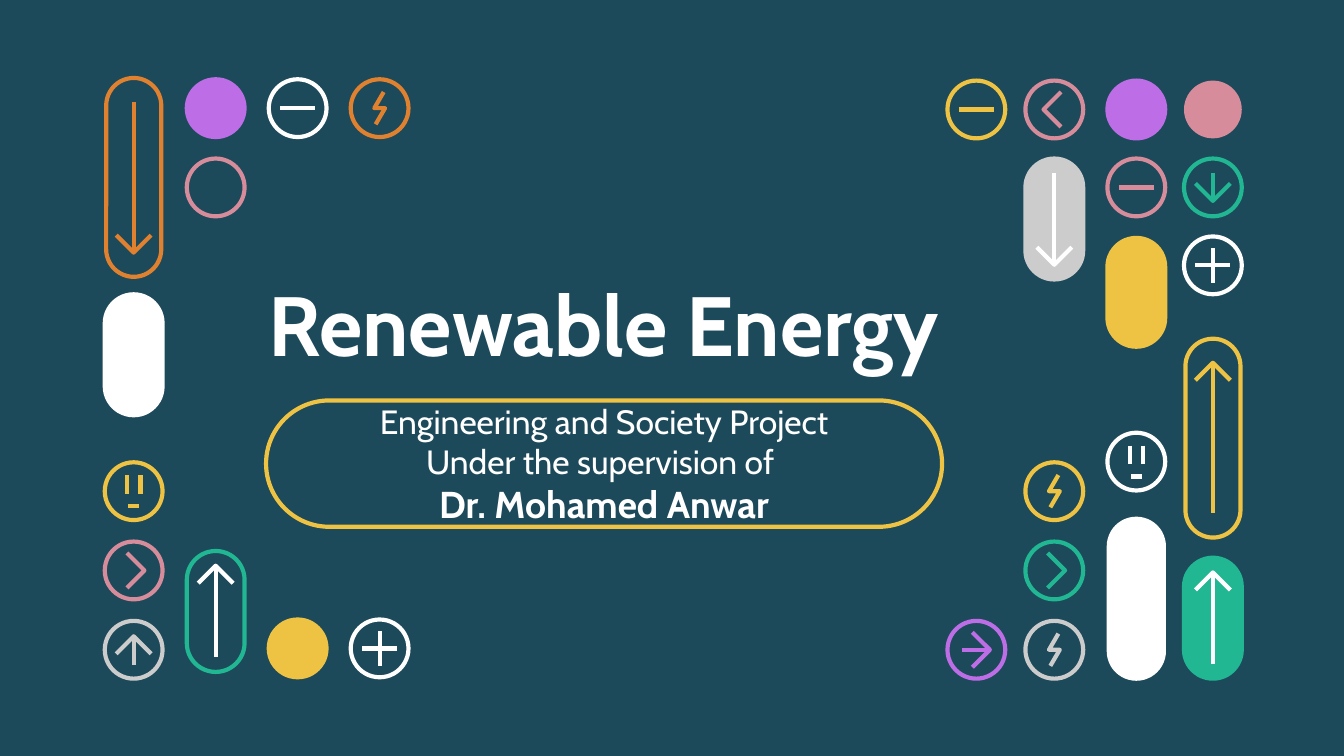
from lxml.etree import SubElement
from pptx import Presentation
from pptx.dml.color import RGBColor
from pptx.enum.shapes import MSO_CONNECTOR, MSO_SHAPE
from pptx.enum.text import MSO_ANCHOR, MSO_AUTO_SIZE, PP_ALIGN
from pptx.oxml.ns import qn
from pptx.util import Inches, Pt

NAVY, WHITE, GRAY = "1D4A5A", "FFFFFF", "CCCCCC"
ORANGE, YELLOW, GREEN = "E08130", "EEC242", "21B793"
PURPLE, PINK = "BD6DE6", "D78C9B"
FONT = "Cabin"
BADGE = 0.43
STROKE = 2.25

MINUS = [(-0.13, 0), (0.13, 0)]
GLYPHS = {
    "blank": [],
    "minus": [MINUS],
    "plus": [MINUS, [(0, -0.13), (0, 0.13)]],
    "bolt": [[(0.03, -0.12), (-0.04, 0), (0.04, 0), (-0.03, 0.12)]],
    "face": [
        [(-0.05, -0.12), (-0.05, 0.02)],
        [(0.05, -0.12), (0.05, 0.02)],
        [(-0.04, 0.11), (0.04, 0.11)],
    ],
    "next": [[(-0.05, -0.13), (0.08, 0), (-0.05, 0.13)]],
    "back": [[(0.05, -0.13), (-0.08, 0), (0.05, 0.13)]],
    "right": [[(-0.03, -0.13), (0.1, 0), (-0.03, 0.13)], [(0.1, 0), (-0.11, 0)]],
    "up": [[(-0.13, 0.03), (0, -0.1), (0.13, 0.03)], [(0, -0.1), (0, 0.11)]],
    "down": [[(-0.13, -0.03), (0, 0.1), (0.13, -0.03)], [(0, 0.1), (0, -0.11)]],
}


def color(hex_code):
    return RGBColor.from_string(hex_code)


def add_text(frame, text, size=18, bold=False, ink=WHITE, spacing=1.0, first=False):
    paragraph = frame.paragraphs[0] if first else frame.add_paragraph()
    paragraph.alignment = PP_ALIGN.CENTER
    paragraph.line_spacing = spacing
    run = paragraph.add_run()
    run.text = text
    run.font.name = FONT
    run.font.size = Pt(size)
    run.font.bold = bold
    run.font.color.rgb = color(ink)


def set_frame(frame, margin):
    frame.word_wrap = True
    frame.auto_size = MSO_AUTO_SIZE.NONE
    frame.vertical_anchor = MSO_ANCHOR.MIDDLE
    frame.margin_left = frame.margin_right = Inches(margin)
    frame.margin_top = frame.margin_bottom = Inches(margin)


def set_stroke(line, ink):
    line.color.rgb = color(ink)
    line.width = Pt(STROKE)


def add_outline(slide, kind, left, top, width, height, ink, filled=False):
    outline = slide.shapes.add_shape(
        kind, Inches(left), Inches(top), Inches(width), Inches(height))
    outline.shadow.inherit = False
    if filled:
        outline.fill.solid()
        outline.fill.fore_color.rgb = color(ink)
    else:
        outline.fill.background()
    set_stroke(outline.line, ink)
    if kind == MSO_SHAPE.ROUNDED_RECTANGLE:
        outline.adjustments[0] = 0.5
    return outline


def add_stroke(slide, center_x, center_y, offsets, ink):
    points = [(Inches(center_x + x), Inches(center_y + y)) for x, y in offsets]
    if len(points) == 2:
        stroke = slide.shapes.add_connector(
            MSO_CONNECTOR.STRAIGHT, *points[0], *points[1])
        SubElement(stroke.element.spPr, qn("a:effectLst"))
    else:
        builder = slide.shapes.build_freeform(*points[0])
        builder.add_line_segments(points[1:], close=False)
        stroke = builder.convert_to_shape()
        stroke.shadow.inherit = False
        stroke.fill.background()
    set_stroke(stroke.line, ink)


def add_badge(slide, left, top, glyph, ink, filled=False):
    add_outline(slide, MSO_SHAPE.OVAL, left, top, BADGE, BADGE, ink, filled)
    for offsets in GLYPHS[glyph]:
        add_stroke(slide, left + BADGE / 2, top + BADGE / 2, offsets, ink)


def add_pill(slide, left, top, width, height, ink, filled=False,
             direction=0, arrow_ink=WHITE, inset=0.11):
    left += (BADGE - width) / 2
    add_outline(slide, MSO_SHAPE.ROUNDED_RECTANGLE, left, top, width, height, ink, filled)
    if direction:
        tip = direction * (height / 2 - inset)
        wing = tip - direction * 0.13
        for offsets in ([(-0.13, wing), (0, tip), (0.13, wing)], [(0, tip), (0, -tip)]):
            add_stroke(slide, left + width / 2, top + height / 2, offsets, arrow_ink)


def add_left_icons(slide, left, top):
    columns = [left + 0.61 * index for index in range(4)]
    for column, offset, glyph, ink, filled in [
        (1, 0, "blank", PURPLE, True),
        (2, 0, "minus", WHITE, False),
        (3, 0, "bolt", ORANGE, False),
        (1, 0.59, "blank", PINK, False),
        (0, 2.85, "face", YELLOW, False),
        (0, 3.44, "next", PINK, False),
        (0, 4.03, "up", GRAY, False),
        (2, 4.02, "blank", YELLOW, True),
        (3, 4.02, "plus", WHITE, False),
    ]:
        add_badge(slide, columns[column], top + offset, glyph, ink, filled)
    add_pill(slide, columns[0], top - 0.01, 0.41, 1.48, ORANGE,
             direction=1, arrow_ink=ORANGE, inset=0.18)
    add_pill(slide, columns[0], top + 1.6, BADGE, 0.9, WHITE, filled=True)
    add_pill(slide, columns[1], top + 3.51, BADGE, 0.9, GREEN, direction=-1)


def add_right_icons(slide, left, top):
    columns = [left + offset for offset in (0, 0.58, 1.19, 1.76)]
    for column, offset, glyph, ink, filled in [
        (0, 0, "minus", YELLOW, False),
        (1, 0, "back", PINK, False),
        (2, 0, "blank", PURPLE, True),
        (2, 0.58, "minus", PINK, False),
        (3, 0.58, "down", GREEN, False),
        (3, 1.16, "plus", WHITE, False),
        (2, 2.62, "face", WHITE, False),
        (1, 2.84, "bolt", YELLOW, False),
        (1, 3.43, "next", GREEN, False),
        (0, 4.02, "right", PURPLE, False),
        (1, 4.02, "bolt", GRAY, False),
    ]:
        add_badge(slide, columns[column], top + offset, glyph, ink, filled)
    dot = add_outline(slide, MSO_SHAPE.OVAL, columns[3], top, BADGE, BADGE, PINK, True)
    dot.line.fill.background()
    add_pill(slide, columns[1], top + 0.58, BADGE, 0.9, GRAY, filled=True, direction=1)
    add_pill(slide, columns[2], top + 1.17, BADGE, 0.81, YELLOW, filled=True)
    add_pill(slide, columns[2], top + 3.26, 0.41, 1.19, WHITE, filled=True)
    add_pill(slide, columns[3], top + 1.92, 0.41, 1.48, YELLOW,
             direction=-1, arrow_ink=YELLOW, inset=0.18)
    add_pill(slide, columns[3], top + 3.55, BADGE, 0.9, GREEN, filled=True, direction=-1)


def add_heading(slide, left, top, width, height):
    title = slide.shapes.title
    title.left, title.top = Inches(left), Inches(top)
    title.width, title.height = Inches(width), Inches(height)
    set_frame(title.text_frame, 0)
    add_text(title.text_frame, "Renewable Energy", size=45, bold=True,
             spacing=0.8, first=True)


def add_credits(slide, left, top, width, height):
    credits = add_outline(
        slide, MSO_SHAPE.ROUNDED_RECTANGLE, left, top, width, height, YELLOW)
    set_frame(credits.text_frame, 0.1)
    add_text(credits.text_frame, "Engineering and Society Project", first=True)
    add_text(credits.text_frame, "Under the supervision of ")
    add_text(credits.text_frame, "Dr. Mohamed Anwar", size=20, bold=True)


def main():
    deck = Presentation()
    deck.slide_width = Inches(10)
    deck.slide_height = Inches(10 * 9 / 16)
    slide = deck.slides.add_slide(deck.slide_layouts[0])
    subtitle = slide.placeholders[1].element
    subtitle.getparent().remove(subtitle)
    slide.background.fill.solid()
    slide.background.fill.fore_color.rgb = color(NAVY)
    add_left_icons(slide, 0.78, 0.59)
    add_right_icons(slide, 7.05, 0.6)
    add_credits(slide, 1.98, 2.98, 5.03, 0.94)
    add_heading(slide, 1.52, 1.77, 5.94, 1.4)
    deck.save("out.pptx")


if __name__ == "__main__":
    main()
